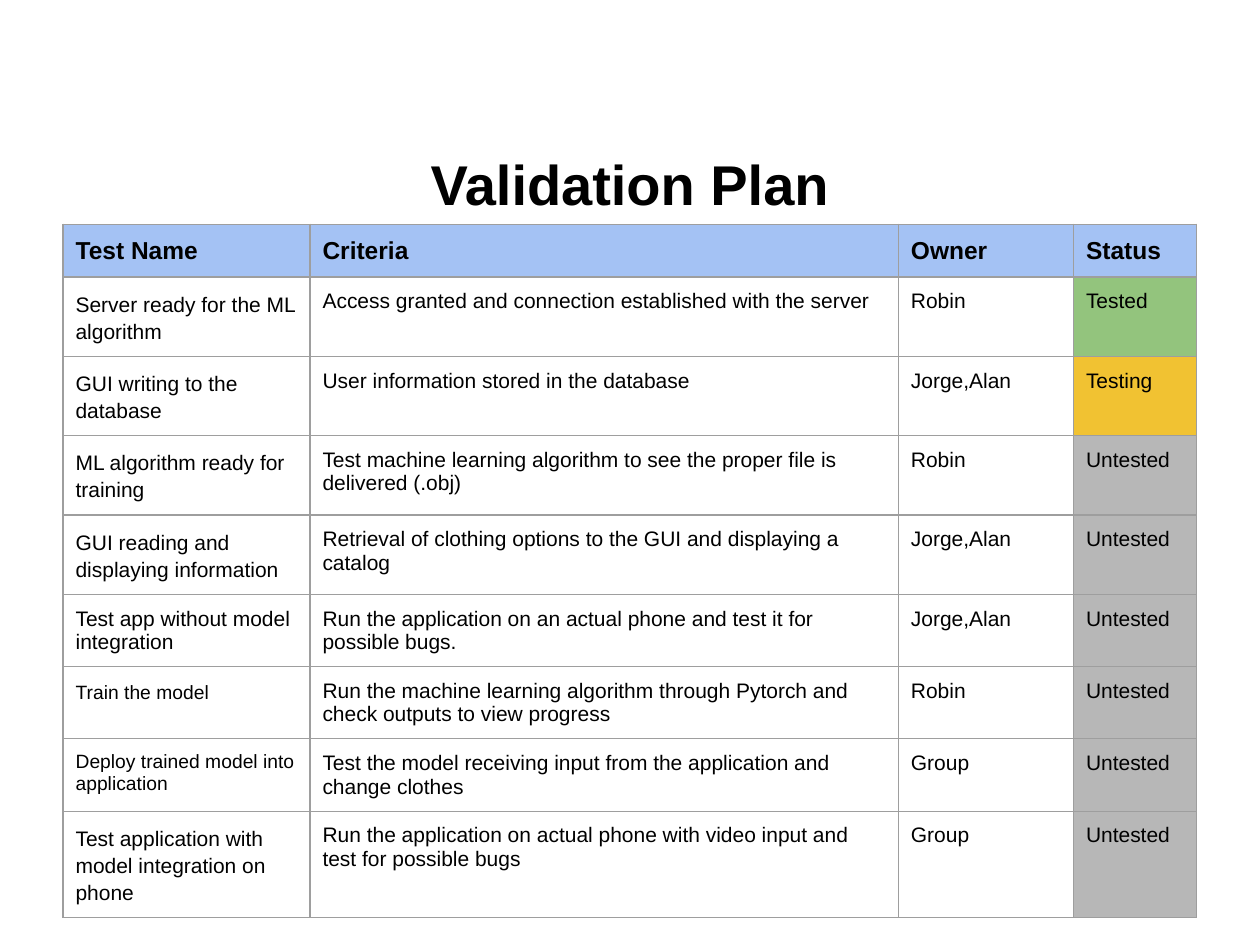
from dataclasses import dataclass

from lxml import etree
from pptx import Presentation
from pptx.dml.color import RGBColor
from pptx.enum import text
from pptx.oxml import ns
from pptx.util import Inches, Pt


@dataclass(frozen=True)
class Theme:
    font: str = "Arial"
    ink: str = "000000"
    header_fill: str = "A4C2F4"
    border: str = "9E9E9E"
    border_width: float = 0.75
    title_size: int = 32
    header_size: int = 14
    body_size: int = 12
    small_size: int = 11
    loose_spacing: float = 1.15


STATUS_FILLS = {"Tested": "93C47D", "Testing": "F1C232", "Untested": "B7B7B7"}
HEADINGS = ("Test Name", "Criteria", "Owner", "Status")
COLUMN_WIDTHS = (1.96, 4.67, 1.39, 0.98)
HEADER_HEIGHT, ROW_HEIGHT = 0.33, 0.49

TESTS = (
    ("Server ready for the ML algorithm",
     "Access granted and connection established with the server", "Robin", "Tested"),
    ("GUI writing to the database",
     "User information stored in the database", "Jorge,Alan", "Testing"),
    ("ML algorithm ready for training",
     "Test machine learning algorithm to see the proper file is delivered (.obj)",
     "Robin", "Untested"),
    ("GUI reading and displaying information",
     "Retrieval of clothing options to the GUI and displaying a catalog",
     "Jorge,Alan", "Untested"),
    ("Test app without model integration",
     "Run the application on an actual phone and test it for possible bugs.",
     "Jorge,Alan", "Untested"),
    ("Train the model",
     "Run the machine learning algorithm through Pytorch and check outputs to view progress",
     "Robin", "Untested"),
    ("Deploy trained model into application",
     "Test the model receiving input from the application and change clothes",
     "Group", "Untested"),
    ("Test application with model integration on phone",
     "Run the application on actual phone with video input and test for possible bugs",
     "Group", "Untested"),
)
SMALL_NAMES = {"Train the model", "Deploy trained model into application"}
TIGHT_NAMES = {"Test app without model integration", "Deploy trained model into application"}


class SlideBuilder:
    def __init__(self, slide, theme):
        self.slide = slide
        self.theme = theme

    def set_text(self, frame, wording, size, bold=False):
        frame.text = wording
        para = frame.paragraphs[0]
        for span in para.runs:
            span.font.name = self.theme.font
            span.font.size = Pt(size)
            span.font.bold = bold
            span.font.color.rgb = RGBColor.from_string(self.theme.ink)
        return para

    def title(self, wording, left, top, width, height):
        box = self.slide.shapes.title
        box.left, box.top = Inches(left), Inches(top)
        box.width, box.height = Inches(width), Inches(height)
        frame = box.text_frame
        frame.auto_size = text.MSO_AUTO_SIZE.NONE
        frame.vertical_anchor = text.MSO_ANCHOR.MIDDLE
        para = self.set_text(frame, wording, self.theme.title_size, bold=True)
        para.alignment = text.PP_ALIGN.CENTER

    def table(self, left, top, widths, heights):
        table = self.slide.shapes.add_table(
            len(heights), len(widths), Inches(left), Inches(top),
            Inches(sum(widths)), Inches(sum(heights))).table
        table.first_row = table.horz_banding = False
        for column, width in zip(table.columns, widths):
            column.width = Inches(width)
        for row, height in zip(table.rows, heights):
            row.height = Inches(height)
        return table

    def cell(self, cell, wording, size, bold=False, fill=None, spacing=None):
        cell.margin_left = cell.margin_right = Inches(0.1)
        cell.margin_top = cell.margin_bottom = Inches(0.1)
        para = self.set_text(cell.text_frame, wording, size, bold)
        if spacing:
            para.line_spacing = spacing
        self.borders(cell)
        if fill:
            cell.fill.solid()
            cell.fill.fore_color.rgb = RGBColor.from_string(fill)
        else:
            cell.fill.background()

    def borders(self, cell):
        properties = cell._tc.get_or_add_tcPr()
        for side in ("a:lnL", "a:lnR", "a:lnT", "a:lnB"):
            line = etree.SubElement(properties, ns.qn(side),
                                    w=str(Pt(self.theme.border_width)))
            solid = etree.SubElement(line, ns.qn("a:solidFill"))
            etree.SubElement(solid, ns.qn("a:srgbClr"), val=self.theme.border)


def main():
    deck = Presentation()
    deck.slide_width, deck.slide_height = Inches(10), Inches(7.5)
    theme = Theme()
    builder = SlideBuilder(deck.slides.add_slide(deck.slide_layouts[5]), theme)
    builder.title("Validation Plan", 0.5, 1.01, 9, 0.88)

    heights = [HEADER_HEIGHT] + [ROW_HEIGHT] * len(TESTS)
    plan = builder.table(0.5, 1.78, COLUMN_WIDTHS, heights)
    for column, heading in enumerate(HEADINGS):
        builder.cell(plan.cell(0, column), heading, theme.header_size,
                     bold=True, fill=theme.header_fill)
    for row, (name, criteria, owner, status) in enumerate(TESTS, start=1):
        builder.cell(plan.cell(row, 0), name,
                     theme.small_size if name in SMALL_NAMES else theme.body_size,
                     spacing=None if name in TIGHT_NAMES else theme.loose_spacing)
        builder.cell(plan.cell(row, 1), criteria, theme.body_size)
        builder.cell(plan.cell(row, 2), owner, theme.body_size)
        builder.cell(plan.cell(row, 3), status, theme.body_size,
                     fill=STATUS_FILLS[status])
    deck.save("out.pptx")


if __name__ == "__main__":
    main()
